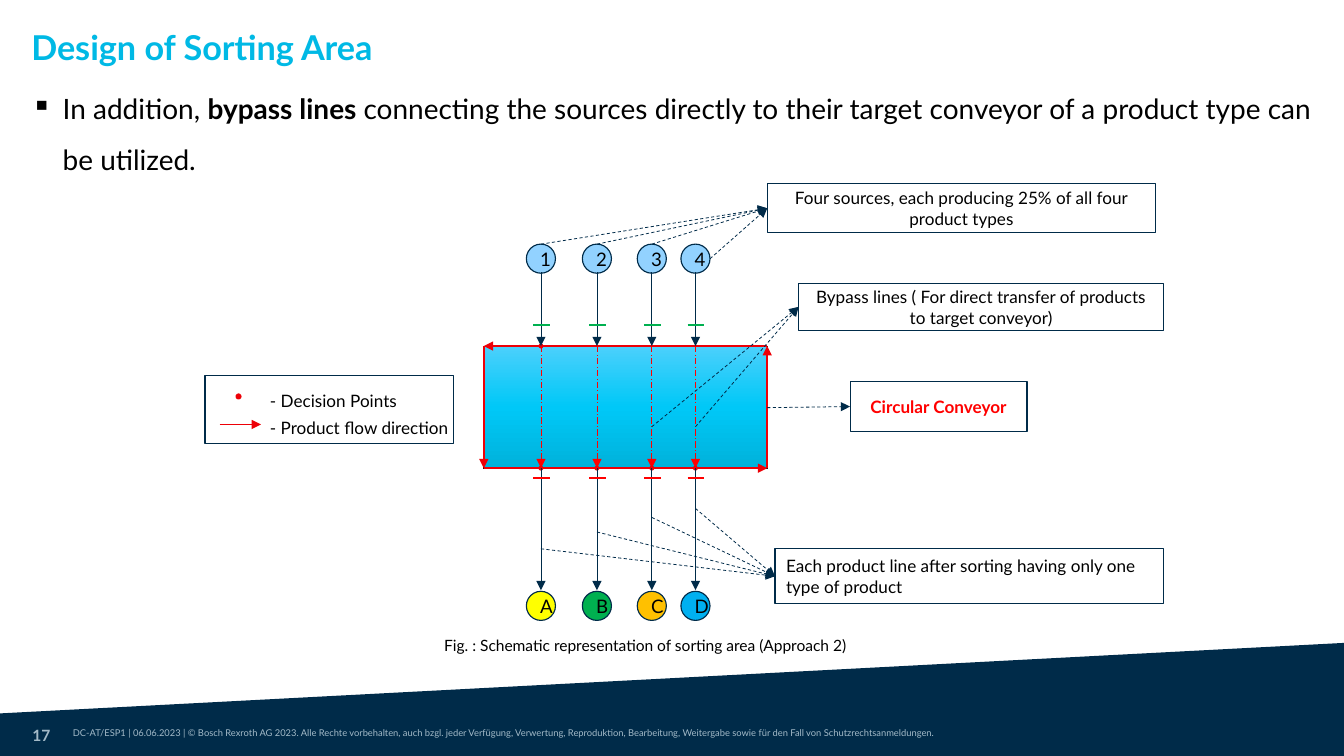
from copy import deepcopy

from lxml import etree
from pptx import Presentation
from pptx.dml import color
from pptx.enum import dml, shapes, text
from pptx.oxml import ns
from pptx.util import Inches, Pt

NAVY, RED, SIGNAL, BLACK, MUTED = "002B49", "ED0007", "FF0000", "000000", "A3BAC8"
LANES = (4.83, 5.33, 5.82, 6.21)


def paint(target, value):
    target.rgb = color.RGBColor.from_string(value)


def inches(*values):
    return [Inches(value) for value in values]


def write(shape, words, size=11, ink=BLACK, bold=False, align="LEFT", spacing=None,
          anchor="TOP", inset=None, wrap=True, bullet=None, indent=0):
    frame = shape.text_frame
    frame.word_wrap = wrap
    frame.vertical_anchor = text.MSO_ANCHOR[anchor]
    if inset is not None:
        frame.margin_left = frame.margin_right = Inches(inset)
        frame.margin_top = frame.margin_bottom = Inches(inset)
    para = frame.paragraphs[0]
    para.alignment = text.PP_ALIGN[align]
    para.line_spacing = spacing
    if bullet:
        layout = para._p.get_or_add_pPr()
        layout.set("marL", str(Inches(indent)))
        layout.set("indent", str(-Inches(indent)))
        etree.SubElement(layout, ns.qn("a:buChar"), char=bullet)
    spans = [(words, bold)] if isinstance(words, str) else words
    for content, heavy in spans:
        span = para.add_run()
        span.text = content
        span.font.name = "Lato"
        span.font.size = Pt(size)
        span.font.bold = heavy
        paint(span.font.color, ink)


def label(page, box, words, **style):
    write(page.shapes.add_textbox(*inches(*box)), words, inset=0, **style)


def outline(page, kind, box, fill=None, line=NAVY, weight=0.75):
    shape = page.shapes.add_shape(shapes.MSO_SHAPE[kind], *inches(*box))
    shape.shadow.inherit = False
    if fill:
        shape.fill.solid()
        paint(shape.fill.fore_color, fill)
    else:
        shape.fill.background()
    paint(shape.line.color, line)
    shape.line.width = Pt(weight)
    return shape


def connect(page, start, end, ink=NAVY, weight=0.5, dash=None, arrow=True):
    link = page.shapes.add_connector(shapes.MSO_CONNECTOR.STRAIGHT, *inches(*start, *end))
    paint(link.line.color, ink)
    link.line.width = Pt(weight)
    if dash:
        link.line.dash_style = dml.MSO_LINE[dash]
    if arrow:
        etree.SubElement(link.line._get_or_add_ln(), ns.qn("a:tailEnd"), type="triangle")
    etree.SubElement(link._element.spPr, ns.qn("a:effectLst"))


def dot(page, x, y, size=0.03):
    outline(page, "OVAL", (x - size / 2, y - size / 2, size, size), RED, RED, 1)


def footer(page, box):
    left, top, width, height = box
    right, bottom = left + width, top + height
    builder = page.shapes.build_freeform(*inches(right, bottom))
    builder.add_line_segments(
        [inches(left, bottom), inches(left, top + 0.63), inches(right, top)])
    band = builder.convert_to_shape()
    band.shadow.inherit = False
    band.fill.solid()
    paint(band.fill.fore_color, NAVY)
    band.line.fill.background()
    label(page, (left + 0.65, top + 0.75, 9.68, 0.13),
          "DC-AT/ESP1 | 06.06.2023 | © Bosch Rexroth AG 2023. Alle Rechte vorbehalten, "
          "auch bzgl. jeder Verfügung, Verwertung, Reproduktion, Bearbeitung, "
          "Weitergabe sowie für den Fall von Schutzrechtsanmeldungen.",
          size=6, ink=MUTED, spacing=1.07)
    label(page, (left + 0.29, top + 0.74, 0.37, 0.27), "17",
          size=10, ink=MUTED, bold=True, wrap=False)


def introduction(page, box):
    left, top, width, height = box
    label(page, (left, top, width, 0.43), "Design of Sorting Area",
          size=22, ink="00B9E5", bold=True, spacing=0.89)
    label(page, (left, top + 0.39, width, height - 0.39),
          [("In addition, ", False), ("bypass lines ", True),
           ("connecting the sources directly to their target conveyor of a product type "
            "can be utilized.", False)],
          size=18, align="JUSTIFY", spacing=1.5, bullet="▪", indent=0.28)


def conveyor(page, box):
    left, top, width, height = box
    right, bottom = left + width, top + height
    belt = outline(page, "RECTANGLE", box, line=BLACK, weight=0.5)
    belt.fill.gradient()
    belt.fill.gradient_angle = 270
    stops = belt._element.spPr.find(".//" + ns.qn("a:gsLst"))
    stops.insert(1, deepcopy(stops[0]))
    for stop, place, shade in zip(belt.fill.gradient_stops, (0, 0.5, 1),
                                  ("4BD0FC", "00C8F7", "00B2DB")):
        stop.position = place
        paint(stop.color, shade)
    for x in LANES:
        connect(page, (x, top), (x, bottom), SIGNAL, dash="LONG_DASH_DOT")
        dot(page, x, bottom)
    dot(page, LANES[0], top)
    corners = {"nw": (left, top), "ne": (right, top),
               "sw": (left, bottom), "se": (right, bottom)}
    for start, end in (("ne", "nw"), ("nw", "sw"), ("se", "ne"), ("sw", "se")):
        connect(page, corners[start], corners[end], RED, 1)


def station_row(page, box, names, fills):
    left, top, width, size = box
    for x, name, fill in zip(LANES, names, fills):
        station = outline(page, "OVAL", (left + x - LANES[0], top, size, size), fill)
        write(station, name, size=12, align="CENTER", anchor="MIDDLE")


def lane_arrows(page, top, bottom, gate, ink):
    for x in LANES:
        connect(page, (x, top), (x, bottom))
        connect(page, (x - 0.07, gate), (x + 0.08, gate), ink, 1, arrow=False)


def callout(page, box, words, starts, **style):
    left, top, width, height = box
    for start in starts:
        connect(page, start, (left, top + height / 2), dash="DASH")
    write(outline(page, "RECTANGLE", box), words, anchor="MIDDLE", **style)


def legend(page, box):
    left, top, width, height = box
    outline(page, "RECTANGLE", box)
    dot(page, left + 0.3, top + 0.19, 0.04)
    connect(page, (left + 0.13, top + 0.44), (left + 0.5, top + 0.44), RED)
    for offset, words in ((0, "- Decision Points"), (0.24, "- Product flow direction")):
        label(page, (left + 0.58, top + offset, 1.65, 0.32), words, spacing=Pt(23))


def main():
    deck = Presentation()
    deck.slide_width, deck.slide_height = inches(12, 6.75)
    page = deck.slides.add_slide(deck.slide_layouts[6])
    footer(page, (0, 5.74, 12, 1.01))
    introduction(page, (0.28, 0.28, 11.43, 1.34))
    station_row(page, (4.7, 2.18, 1.64, 0.26), "1234", ["92D2FF"] * 4)
    conveyor(page, (4.32, 3.09, 2.53, 1.09))
    lane_arrows(page, 2.43, 3.09, 2.9, "00B050")
    lane_arrows(page, 4.18, 5.27, 4.27, SIGNAL)
    station_row(page, (4.7, 5.28, 1.64, 0.26), "ABCD",
                ("FFFF00", "00B050", "FFC000", "00B0F0"))
    callout(page, (6.85, 1.64, 3.47, 0.44),
            "Four sources, each producing 25% of all four product types",
            [(x, 2.18) for x in LANES[:3]] + [(6.34, 2.31)], align="CENTER")
    callout(page, (7.13, 2.53, 3.26, 0.42),
            "Bypass lines ( For direct transfer of products to target conveyor)",
            [(x, 3.81) for x in LANES[2:]], align="CENTER")
    callout(page, (7.59, 3.41, 1.58, 0.44), "Circular Conveyor",
            [(6.85, 3.64)], ink=SIGNAL, bold=True, align="CENTER")
    callout(page, (6.92, 4.9, 3.47, 0.49),
            "Each product line after sorting having only one type of product",
            zip(LANES, (4.9, 4.75, 4.62, 4.54)))
    legend(page, (1.83, 3.35, 2.22, 0.61))
    label(page, (3.34, 5.53, 4.84, 0.24),
          "Fig. : Schematic representation of sorting area (Approach 2)",
          size=10, align="CENTER", spacing=Pt(23))
    deck.save("out.pptx")


if __name__ == "__main__":
    main()
